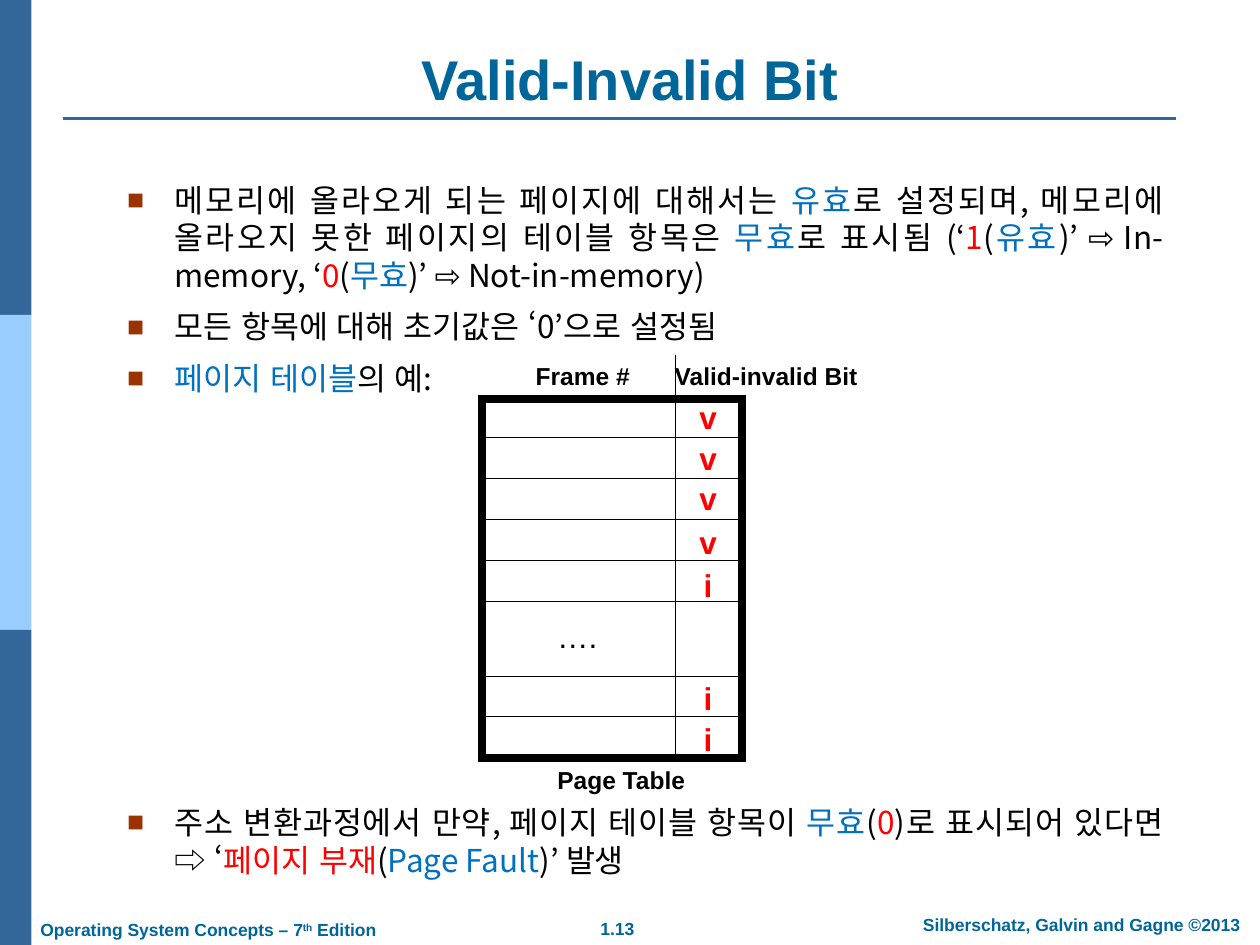
from typing import NamedTuple

from lxml.etree import SubElement
from pptx import Presentation
from pptx.dml.color import RGBColor
from pptx.enum.lang import MSO_LANGUAGE_ID
from pptx.enum.shapes import MSO_CONNECTOR, MSO_SHAPE
from pptx.enum.text import MSO_ANCHOR, PP_ALIGN
from pptx.oxml.ns import qn
from pptx.util import Pt

COLORS = {
    "black": "000000", "white": "FFFFFF", "red": "FF0000", "blue": "0070C0",
    "teal": "006699", "bullet": "993300", "dark": "336699", "light": "99CCFF",
}
LATIN = "Arial"
KOREAN = "Noto Sans CJK KR"


class Frame(NamedTuple):
    left: float
    top: float
    width: float
    height: float


class Span(NamedTuple):
    text: str
    color: str = "black"
    font: str = KOREAN
    raised: bool = False


class Label(NamedTuple):
    text: str
    center: float
    middle: float


def rgb(name: str) -> RGBColor:
    return RGBColor.from_string(COLORS[name])


def add_rectangle(shapes, frame: Frame, fill: str, line_width: float = 0) -> None:
    box = shapes.add_shape(MSO_SHAPE.RECTANGLE, *map(Pt, frame))
    box.shadow.inherit = False
    box.fill.solid()
    box.fill.fore_color.rgb = rgb(fill)
    if line_width:
        box.line.color.rgb = rgb("black")
        box.line.width = Pt(line_width)
        SubElement(box._element.spPr.find(qn("a:ln")), qn("a:miter"), lim="800000")
    else:
        box.line.fill.background()


def add_line(shapes, start: tuple[float, float], end: tuple[float, float],
             color: str = "black", width: float = 0.75) -> None:
    line = shapes.add_connector(MSO_CONNECTOR.STRAIGHT, *map(Pt, start + end))
    line.line.color.rgb = rgb(color)
    line.line.width = Pt(width)
    SubElement(line._element.spPr, qn("a:effectLst"))


def add_bullet(para) -> None:
    properties = para._p.get_or_add_pPr()
    properties.set("marL", str(Pt(27)))
    properties.set("indent", str(-Pt(27)))
    color = SubElement(properties, qn("a:buClr"))
    SubElement(color, qn("a:srgbClr"), val=COLORS["bullet"])
    SubElement(properties, qn("a:buSzPct"), val="90000")
    SubElement(properties, qn("a:buFont"), typeface=LATIN)
    SubElement(properties, qn("a:buChar"), char="■")


def add_text(shapes, frame: Frame, paragraphs: list[list[Span]], *, size: float,
             bold: bool = False, align=PP_ALIGN.CENTER, anchor=MSO_ANCHOR.TOP,
             wrap: bool = True, bullets: bool = False) -> None:
    text_frame = shapes.add_textbox(*map(Pt, frame)).text_frame
    text_frame.word_wrap = wrap
    text_frame.vertical_anchor = anchor
    for index, spans in enumerate(paragraphs):
        para = text_frame.add_paragraph() if index else text_frame.paragraphs[0]
        para.alignment = align
        if bullets:
            para.line_spacing = Pt(21.5)
            if index:
                para.space_before = Pt(8)
            add_bullet(para)
        for span in spans:
            run = para.add_run()
            run.text = span.text
            run.font.size = Pt(size)
            run.font.bold = bold
            run.font.color.rgb = rgb(span.color)
            run.font.name = span.font
            if span.font == KOREAN:
                run.font.language_id = MSO_LANGUAGE_ID.KOREAN
            SubElement(run.font._element, qn("a:ea"), typeface=span.font)
            if span.raised:
                run.font._element.set("baseline", "30000")


def add_label(shapes, label: Label, size: float, color: str = "black",
              bold: bool = True) -> None:
    """Place one unwrapped word around a centre point."""
    frame = Frame(label.center - 60, label.middle - 14, 120, 28)
    add_text(shapes, frame, [[Span(label.text, color, LATIN)]], size=size,
             bold=bold, anchor=MSO_ANCHOR.MIDDLE, wrap=False)


def add_master_parts(shapes) -> None:
    for index, fill in enumerate(("dark", "light", "dark")):
        add_rectangle(shapes, Frame(0, 180 * index, 18, 180), fill)
    add_line(shapes, (36, 67.7), (672, 67.7), "dark", 1.5)
    add_text(shapes, Frame(36, 22, 648, 45.4),
             [[Span("Valid-Invalid Bit", "teal", LATIN)]],
             size=32, bold=True, anchor=MSO_ANCHOR.BOTTOM)
    edition = [Span("Operating System Concepts – 7", "teal", LATIN),
               Span("th", "teal", LATIN, True), Span(" Edition", "teal", LATIN)]
    number = [Span("1.13", "teal", LATIN)]
    credit = [Span("Silberschatz, Galvin and Gagne ©2013", "teal", LATIN)]
    for frame, spans, align in (
        (Frame(16, 521.8, 260, 19.4), edition, PP_ALIGN.LEFT),
        (Frame(317.5, 521, 70.5, 19.4), number, PP_ALIGN.CENTER),
        (Frame(501, 518.8, 234, 19.4), credit, PP_ALIGN.CENTER),
    ):
        add_text(shapes, frame, [spans], size=10, bold=True, align=align)


def add_page_table(shapes) -> None:
    divider, bit_center = 385.9, 404.6
    add_rectangle(shapes, Frame(275.3, 228.2, 149, 205.2), "white", 4.5)
    row_lines = [250 + 23.4 * row for row in range(5)] + [386.6, 409.6]
    for y in row_lines:
        add_line(shapes, (273.6, y), (424.8, y))
    add_line(shapes, (divider, 203), (divider, 431.3))
    bit_middles = (238.3, 261.4, 284.4, 309.6, 334, 398.8, 422)
    for bit, middle in zip("vvvviii", bit_middles):
        add_label(shapes, Label(bit, bit_center, middle), 18, "red")
    add_label(shapes, Label("….", 329.8, 363.6), 18, bold=False)
    for label in (Label("Frame #", 333, 214.6),
                  Label("Valid-invalid Bit", 437.8, 214.6),
                  Label("Page Table", 355, 445.7)):
        add_label(shapes, label, 14)


def main() -> None:
    arrow = Span("⇨", font=LATIN)
    valid, invalid = Span("유효", "blue"), Span("무효", "blue")
    one, zero = Span("1", "red"), Span("0", "red")
    opening, closing = Span("("), Span(")’ ")
    rules = [
        [Span("메모리에 올라오게 되는 페이지에 대해서는 "), valid,
         Span("로 설정되며, 메모리에 올라오지 못한 페이지의 테이블 항목은 "), invalid,
         Span("로 표시됨 (‘"), one, opening, valid, closing, arrow,
         Span(" In-memory, ‘"), zero, opening, invalid, closing, arrow,
         Span(" Not-in-memory)")],
        [Span("모든 항목에 대해 초기값은 ‘0’으로 설정됨")],
        [Span("페이지 테이블", "blue"), Span("의 예:")],
    ]
    fault = [
        [Span("주소 변환과정에서 만약, 페이지 테이블 항목이 "), invalid, opening, zero,
         Span(")로 표시되어 있다면 "), Span("⇨ ", font=LATIN), Span("‘"),
         Span("페이지 부재", "red"), opening, Span("Page Fault", "blue"),
         Span(")’ 발생")],
    ]

    deck = Presentation()
    deck.slide_width, deck.slide_height = Pt(720), Pt(540)
    page = deck.slides.add_slide(deck.slide_layouts[6])
    add_master_parts(page.shapes)
    for frame, paragraphs in ((Frame(65.5, 99.8, 606.3, 132), rules),
                              (Frame(65.5, 455.4, 606.3, 50), fault)):
        add_text(page.shapes, frame, paragraphs, size=18,
                 align=PP_ALIGN.JUSTIFY, bullets=True)
    add_page_table(page.shapes.add_group_shape().shapes)
    deck.save("out.pptx")


if __name__ == "__main__":
    main()
